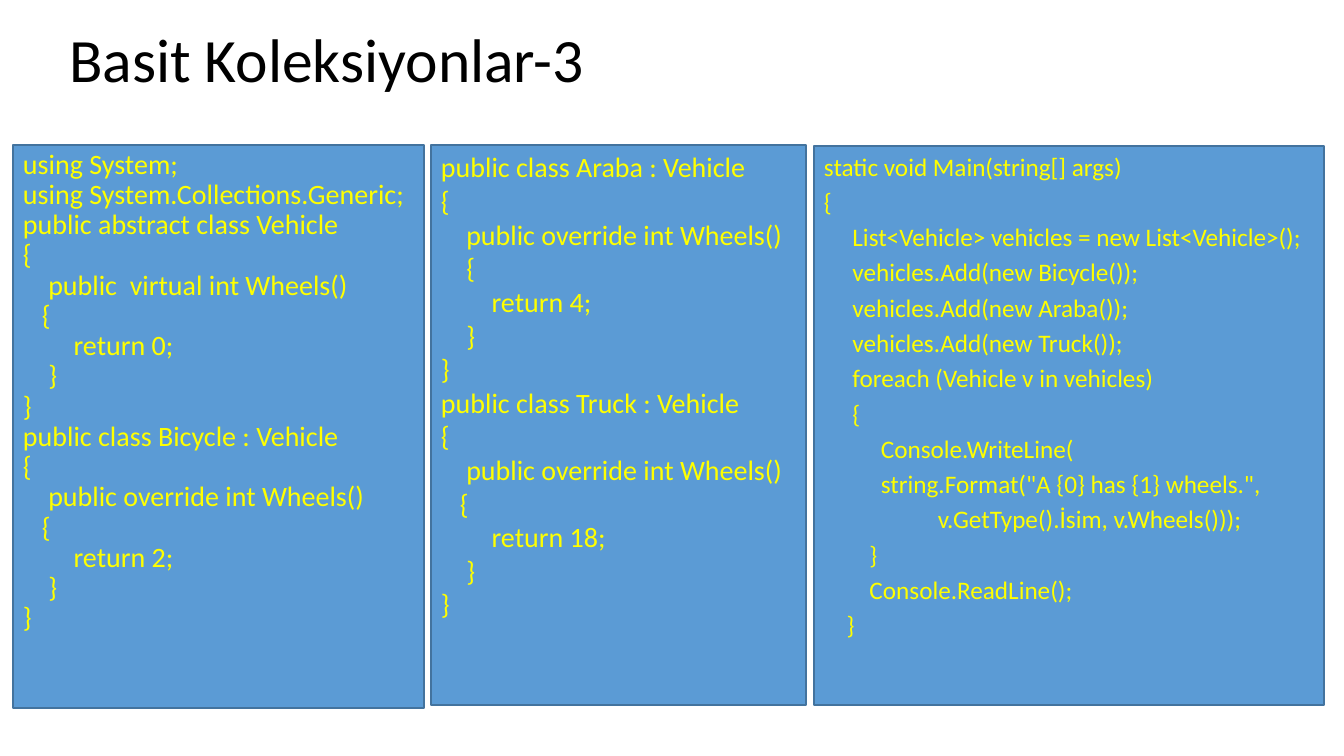
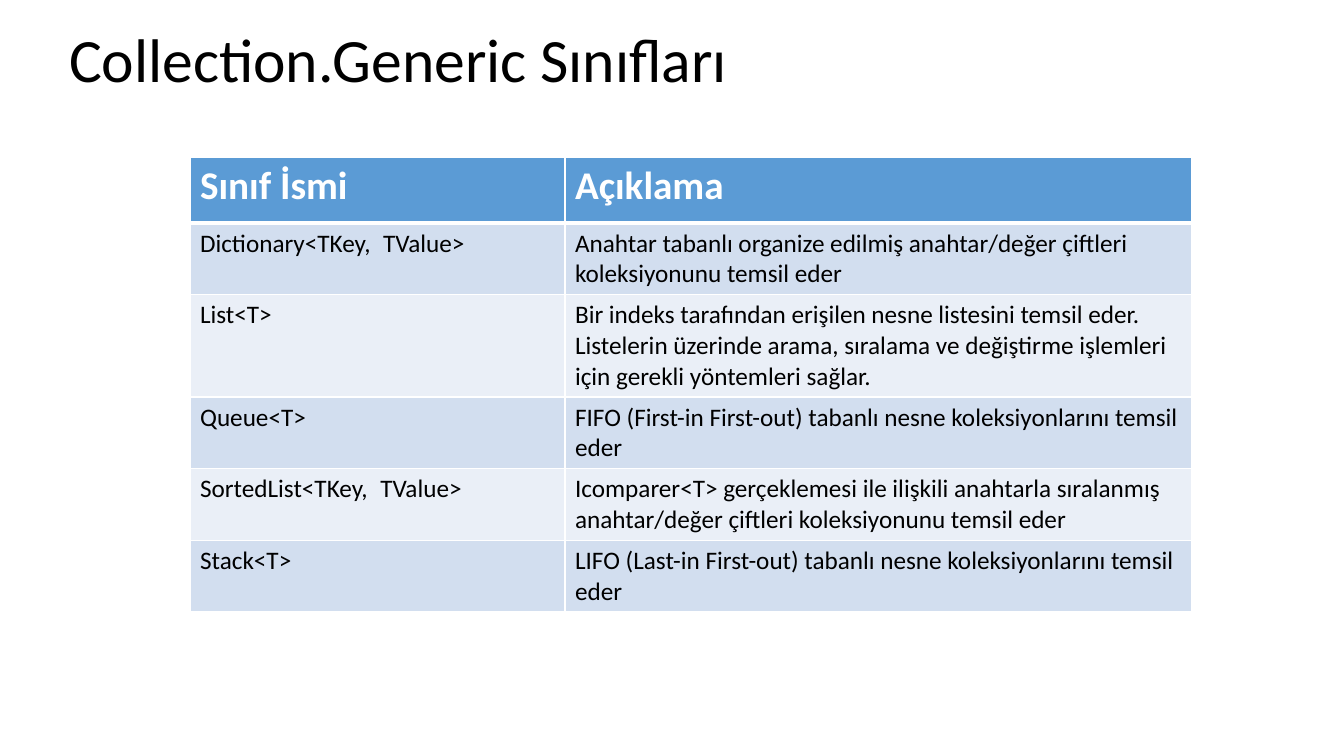
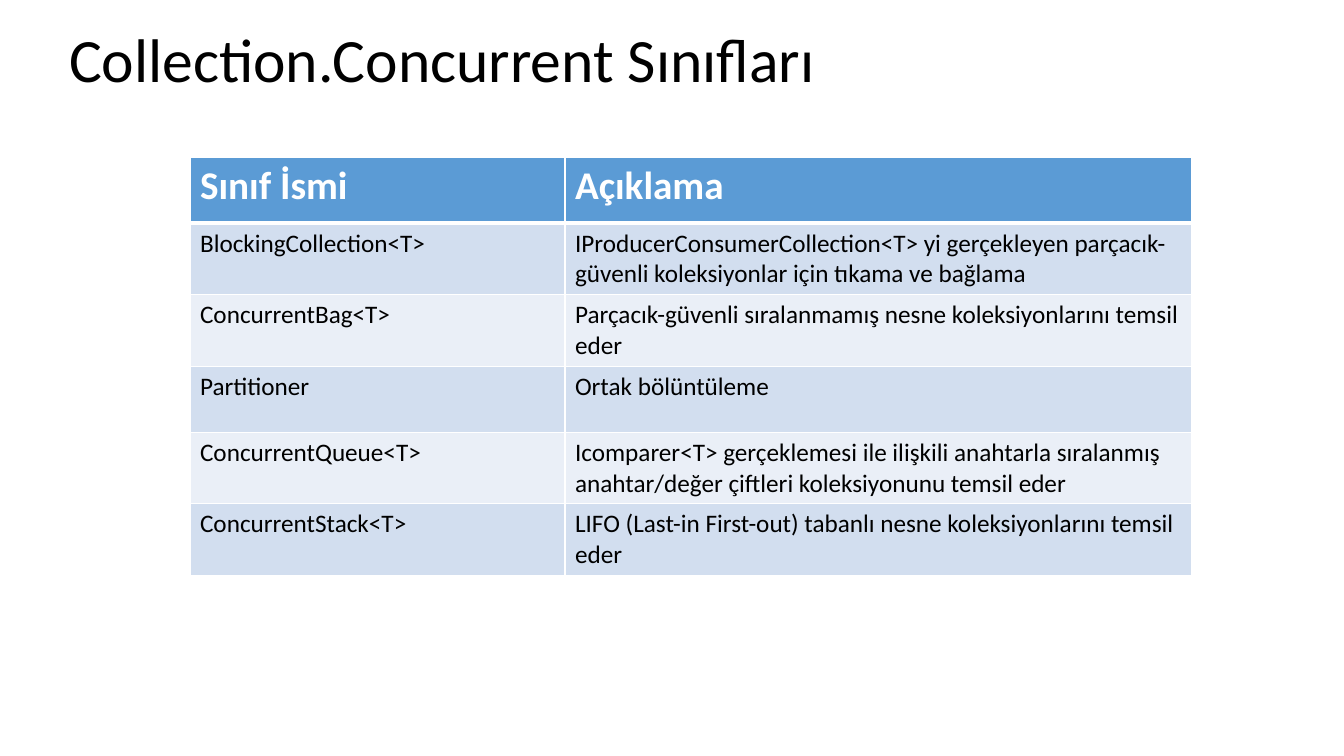
"""Builds three slides on C# collections."""
from lxml import etree
from pptx import Presentation
from pptx.dml.color import RGBColor
from pptx.enum.shapes import MSO_SHAPE as Shape
from pptx.enum.text import MSO_ANCHOR as Anchor, MSO_AUTO_SIZE as AutoSize, PP_ALIGN as Align
from pptx.oxml import parse_xml
from pptx.oxml.ns import nsdecls, qn
from pptx.util import Emu, Pt

PX = 914400 / 100.8
FONT = "Calibri"
SPACE_EM = 0.226
BLACK = RGBColor(0x00, 0x00, 0x00)
WHITE = RGBColor(0xFF, 0xFF, 0xFF)
YELLOW = RGBColor(0xFF, 0xFF, 0x00)
BLUE = RGBColor(0x5B, 0x9B, 0xD5)
EDGE = RGBColor(0x43, 0x73, 0x9E)
BANDS = (RGBColor(0xEA, 0xEF, 0xF7), RGBColor(0xD2, 0xDE, 0xEF))
HEADER = ("Sınıf İsmi", "Açıklama")


def px(*values):
    return [Emu(round(v * PX)) for v in values]


def apply(target, formats):
    for name, value in formats.items():
        setattr(target, name, value)


class Deck:
    """Holds the presentation, its style and the current slide."""

    def __init__(self):
        self.prs = Presentation()
        self.prs.slide_width, self.prs.slide_height = px(1344, 756)
        self.s = None

    def run(self, p, text, size, color, bold=False):
        r = p.add_run()
        r.text = text
        apply(r.font, {"name": FONT, "size": Pt(size), "bold": bold})
        r.font.color.rgb = color

    def slide(self, title):
        self.s = self.prs.slides.add_slide(self.prs.slide_layouts[5])
        sp = self.s.shapes.title
        apply(sp, dict(zip(("left", "top", "width", "height"), px(59, 15, 1255, 95))))
        tf = sp.text_frame
        apply(tf, {"vertical_anchor": Anchor.MIDDLE, "word_wrap": True,
                   "auto_size": AutoSize.NONE})
        p = tf.paragraphs[0]
        apply(p, {"alignment": Align.LEFT, "line_spacing": 0.9})
        self.run(p, title, 44, BLACK)

    def code(self, box, source, size, edge=1, **spacing):
        sp = self.s.shapes.add_shape(Shape.RECTANGLE, *px(*box))
        sp.shadow.inherit = False
        sp.fill.solid()
        sp.fill.fore_color.rgb = BLUE
        sp.line.color.rgb = EDGE
        sp.line.width = Pt(edge)
        tf = sp.text_frame
        apply(tf, {"vertical_anchor": Anchor.TOP, "word_wrap": True})
        for i, line in enumerate(source.strip().splitlines()):
            p = tf.add_paragraph() if i else tf.paragraphs[0]
            apply(p, {"alignment": Align.LEFT, **spacing})
            text = line.lstrip()
            indent = Pt((len(line) - len(text)) * SPACE_EM * size)
            p._p.get_or_add_pPr().set("marL", str(int(indent)))
            self.run(p, text, size, YELLOW)

    def border(self, cell, bottom):
        tcPr = cell._tc.get_or_add_tcPr()
        for i, (side, width) in enumerate((("L", 1), ("R", 1), ("T", 1), ("B", bottom))):
            ln = parse_xml(f'<a:ln{side} {nsdecls("a")} w="{int(Pt(width))}"/>')
            fill = etree.SubElement(ln, qn("a:solidFill"))
            etree.SubElement(fill, qn("a:srgbClr")).set("val", str(WHITE))
            tcPr.insert(i, ln)

    def table(self, rows):
        rows = [HEADER, *rows]
        widths = px(375, 627)
        frame = self.s.shapes.add_table(len(rows), 2, *px(190, 157, 1002, 66 * len(rows)))
        tbl = frame.table
        for column, width in zip(tbl.columns, widths):
            column.width = width
        for i, row in enumerate(rows):
            tbl.rows[i].height = px(66)[0]
            for j, text in enumerate(row):
                cell = tbl.cell(i, j)
                cell.fill.solid()
                cell.fill.fore_color.rgb = BANDS[i % 2] if i else BLUE
                self.border(cell, 1 if i else 3)
                style = (18, BLACK) if i else (28, WHITE, True)
                self.run(cell.text_frame.paragraphs[0], text, *style)


BASE_CODE = """
using System;
using System.Collections.Generic;
public abstract class Vehicle
{
    public  virtual int Wheels()
   {
        return 0;
    }
}
public class Bicycle : Vehicle
{
    public override int Wheels()
   {
        return 2;
    }
}
"""
DERIVED_CODE = """
public class Araba : Vehicle
{
    public override int Wheels()
    {
        return 4;
    }
}
public class Truck : Vehicle
{
    public override int Wheels()
   {
        return 18;
    }
}
"""
MAIN_CODE = """
static void Main(string[] args)
{
     List<Vehicle> vehicles = new List<Vehicle>();
     vehicles.Add(new Bicycle());
     vehicles.Add(new Araba());
     vehicles.Add(new Truck());
     foreach (Vehicle v in vehicles)
     {
          Console.WriteLine(
          string.Format("A {0} has {1} wheels.",
                    v.GetType().İsim, v.Wheels()));
        }
        Console.ReadLine();
    }
"""
SORTED = ("Icomparer<T> gerçeklemesi ile ilişkili anahtarla sıralanmış "
          "anahtar/değer çiftleri koleksiyonunu temsil eder")
LIFO = "LIFO (Last-in First-out) tabanlı nesne koleksiyonlarını temsil eder"
GENERIC = [
    ("Dictionary<TKey,\u2002TValue>",
     "Anahtar tabanlı organize edilmiş anahtar/değer çiftleri koleksiyonunu temsil eder"),
    ("List<T>",
     "Bir indeks tarafından erişilen nesne listesini temsil eder. Listelerin üzerinde arama, "
     "sıralama ve değiştirme işlemleri için gerekli yöntemleri sağlar."),
    ("Queue<T>", "FIFO (First-in First-out) tabanlı nesne koleksiyonlarını temsil eder"),
    ("SortedList<TKey,\u2002TValue>", SORTED),
    ("Stack<T>", LIFO),
]
CONCURRENT = [
    ("BlockingCollection<T>",
     "IProducerConsumerCollection<T> yi gerçekleyen parçacık-güvenli koleksiyonlar için "
     "tıkama ve bağlama"),
    ("ConcurrentBag<T>", "Parçacık-güvenli sıralanmamış nesne koleksiyonlarını temsil eder"),
    ("Partitioner", "Ortak bölüntüleme"),
    ("ConcurrentQueue<T>", SORTED),
    ("ConcurrentStack<T>", LIFO),
]

deck = Deck()
deck.slide("Basit Koleksiyonlar-3")
deck.code((13, 145, 411, 563), BASE_CODE, 20, line_spacing=0.9)
deck.code((814, 146, 510, 559), MAIN_CODE, 18, space_before=Pt(3.6))
deck.code((431, 145, 375, 560), DERIVED_CODE, 20, edge=2)
for title, rows in (("Collection.Generic Sınıfları", GENERIC),
                    ("Collection.Concurrent Sınıfları", CONCURRENT)):
    deck.slide(title)
    deck.table(rows)
deck.prs.save("out.pptx")
